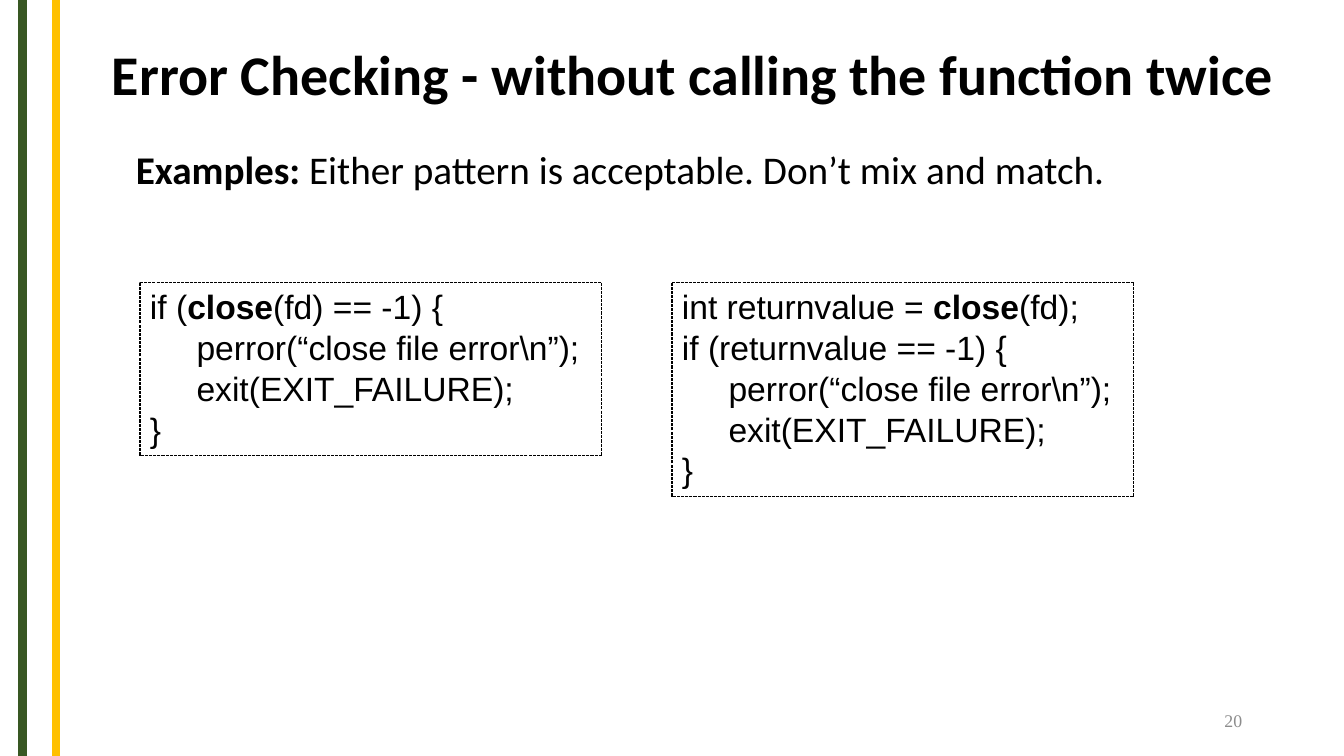
"""Build a slide showing two error-checking patterns in C."""
from dataclasses import dataclass

from lxml import etree
from pptx import Presentation
from pptx import util as u
from pptx.dml.color import RGBColor
from pptx.enum import dml, shapes, text
from pptx.oxml import ns

COLUMNS, ROWS = 48, 27
WIDTH, HEIGHT = u.Inches(13.33), u.Inches(7.5)


@dataclass(frozen=True)
class Theme:
    ink: str = "000000"
    muted: str = "8C8C8C"
    green: str = "385723"
    gold: str = "FFC000"
    heading_font: str = "Calibri"
    code_font: str = "Arial"
    number_font: str = "Times New Roman"
    title_size: float = 40
    lead_size: float = 28
    code_size: float = 24
    code_pitch: float = 29.2
    number_size: float = 12.7
    stripe_width: float = 6
    frame_width: float = 0.75


@dataclass(frozen=True)
class Span:
    words: str
    bold: bool = False


Line = tuple[Span, ...]


@dataclass(frozen=True)
class Style:
    font: str
    size: float
    color: str
    align: text.PP_ALIGN = text.PP_ALIGN.LEFT
    anchor: text.MSO_ANCHOR = text.MSO_ANCHOR.TOP
    spacing: float | u.Pt = 1.0
    top_inset: float = 0.05


@dataclass(frozen=True)
class Box:
    column: float
    row: float
    columns: float
    rows: float
    lines: tuple[Line, ...]
    style: Style
    framed: bool = False


@dataclass(frozen=True)
class Stripe:
    column: float
    color: str


THEME = Theme()
TITLE = Style(THEME.heading_font, THEME.title_size, THEME.ink,
              anchor=text.MSO_ANCHOR.MIDDLE, spacing=0.9)
LEAD = Style(THEME.heading_font, THEME.lead_size, THEME.ink)
CODE = Style(THEME.code_font, THEME.code_size, THEME.ink,
             spacing=u.Pt(THEME.code_pitch), top_inset=0.03)
NUMBER = Style(THEME.number_font, THEME.number_size, THEME.muted,
               align=text.PP_ALIGN.RIGHT, anchor=text.MSO_ANCHOR.MIDDLE)

CLOSE = Span("close", bold=True)
FAILURE_BLOCK: tuple[Line, ...] = (
    (Span("     perror(“close file error\\n”);"),),
    (Span("     exit(EXIT_FAILURE);"),),
    (Span("}"),),
)
DIRECT_CHECK: tuple[Line, ...] = (
    (Span("if ("), CLOSE, Span("(fd) == -1) {")),
    *FAILURE_BLOCK,
)
STORED_CHECK: tuple[Line, ...] = (
    (Span("int returnvalue = "), CLOSE, Span("(fd);")),
    (Span("if (returnvalue == -1) {"),),
    *FAILURE_BLOCK,
)


def code_box(column: float, lines: tuple[Line, ...]) -> Box:
    return Box(column, 10.08, 16.5, 0.36 + 1.46 * len(lines), lines, CODE, framed=True)


STRIPES = (Stripe(0.8, THEME.green), Stripe(2, THEME.gold))
BOXES = (
    Box(3.64, 0.97, 42.6, 3.6,
        ((Span("Error Checking - without calling the function twice", bold=True),),),
        TITLE),
    Box(33.92, 25.02, 10.8, 1.44, ((Span("20"),),), NUMBER),
    code_box(5, DIRECT_CHECK),
    code_box(24, STORED_CHECK),
    Box(4.5, 5, 37.37, 2.05,
        ((Span("Examples: ", bold=True),
          Span("Either pattern is acceptable. Don’t mix and match.")),),
        LEAD),
)


def across(columns: float) -> int:
    return round(WIDTH * columns / COLUMNS)


def down(rows: float) -> int:
    return round(HEIGHT * rows / ROWS)


def draw_stripe(page, stripe: Stripe) -> None:
    place = across(stripe.column)
    line = page.shapes.add_connector(shapes.MSO_CONNECTOR.STRAIGHT, place, 0, place, HEIGHT)
    line.line.color.rgb = RGBColor.from_string(stripe.color)
    line.line.width = u.Pt(THEME.stripe_width)
    etree.SubElement(line._element.spPr, ns.qn("a:effectLst"))


def write_lines(frame, lines: tuple[Line, ...], style: Style) -> None:
    frame.word_wrap = True
    frame.vertical_anchor = style.anchor
    frame.margin_top = u.Inches(style.top_inset)
    for index, line in enumerate(lines):
        para = frame.add_paragraph() if index else frame.paragraphs[0]
        para.alignment = style.align
        para.line_spacing = style.spacing
        for span in line:
            run = para.add_run()
            run.text = span.words
            run.font.name = style.font
            run.font.size = u.Pt(style.size)
            run.font.bold = span.bold
            run.font.color.rgb = RGBColor.from_string(style.color)


def draw_box(page, box: Box) -> None:
    area = across(box.column), down(box.row), across(box.columns), down(box.rows)
    if box.framed:
        shape = page.shapes.add_shape(shapes.MSO_SHAPE.RECTANGLE, *area)
        shape.shadow.inherit = False
        shape.fill.background()
        shape.line.color.rgb = RGBColor.from_string(THEME.ink)
        shape.line.width = u.Pt(THEME.frame_width)
        shape.line.dash_style = dml.MSO_LINE.SQUARE_DOT
    else:
        shape = page.shapes.add_textbox(*area)
    write_lines(shape.text_frame, box.lines, box.style)


def main() -> None:
    deck = Presentation()
    deck.slide_width, deck.slide_height = WIDTH, HEIGHT
    page = deck.slides.add_slide(deck.slide_layouts[6])
    for stripe in STRIPES:
        draw_stripe(page, stripe)
    for box in BOXES:
        draw_box(page, box)
    deck.save("out.pptx")


if __name__ == "__main__":
    main()
